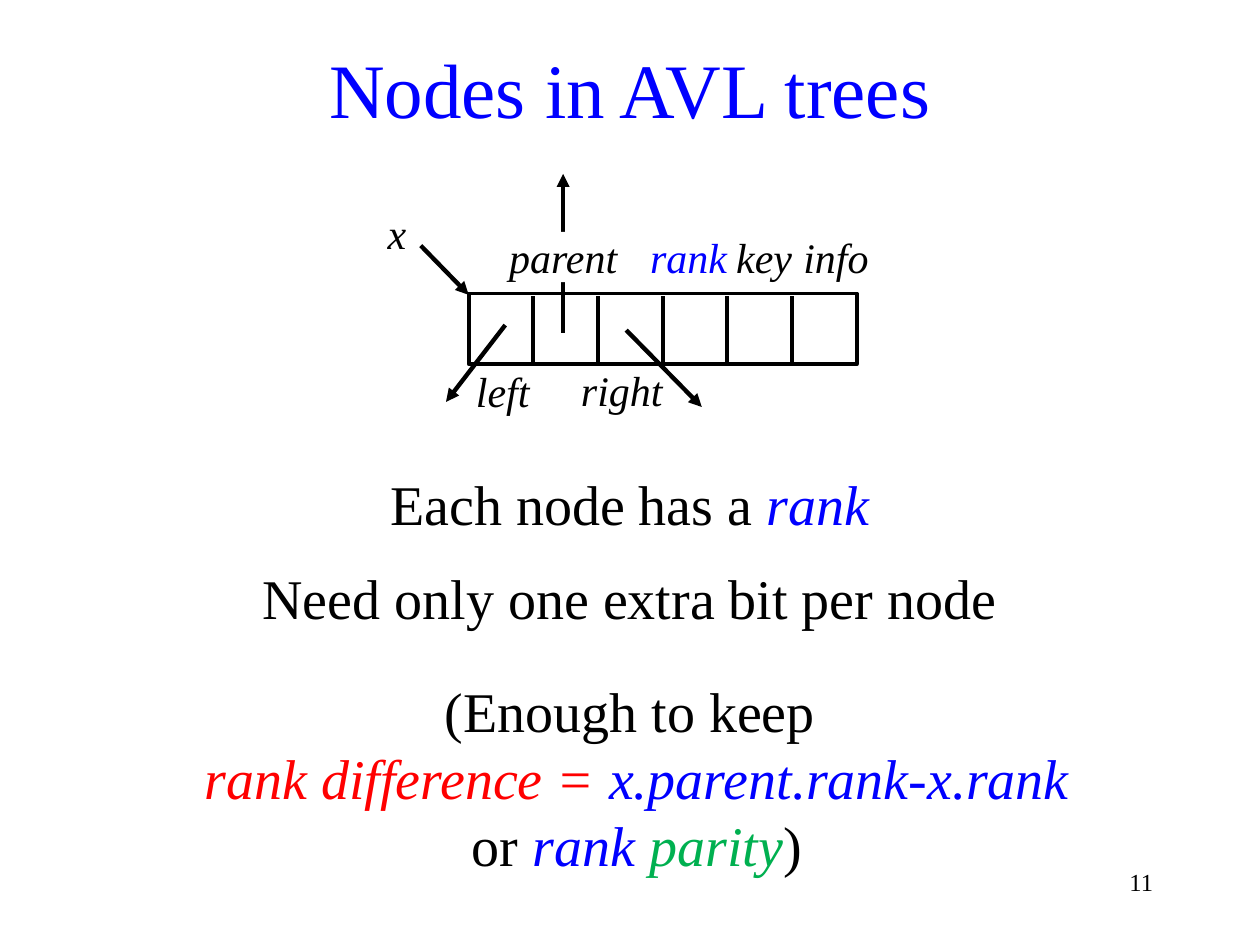
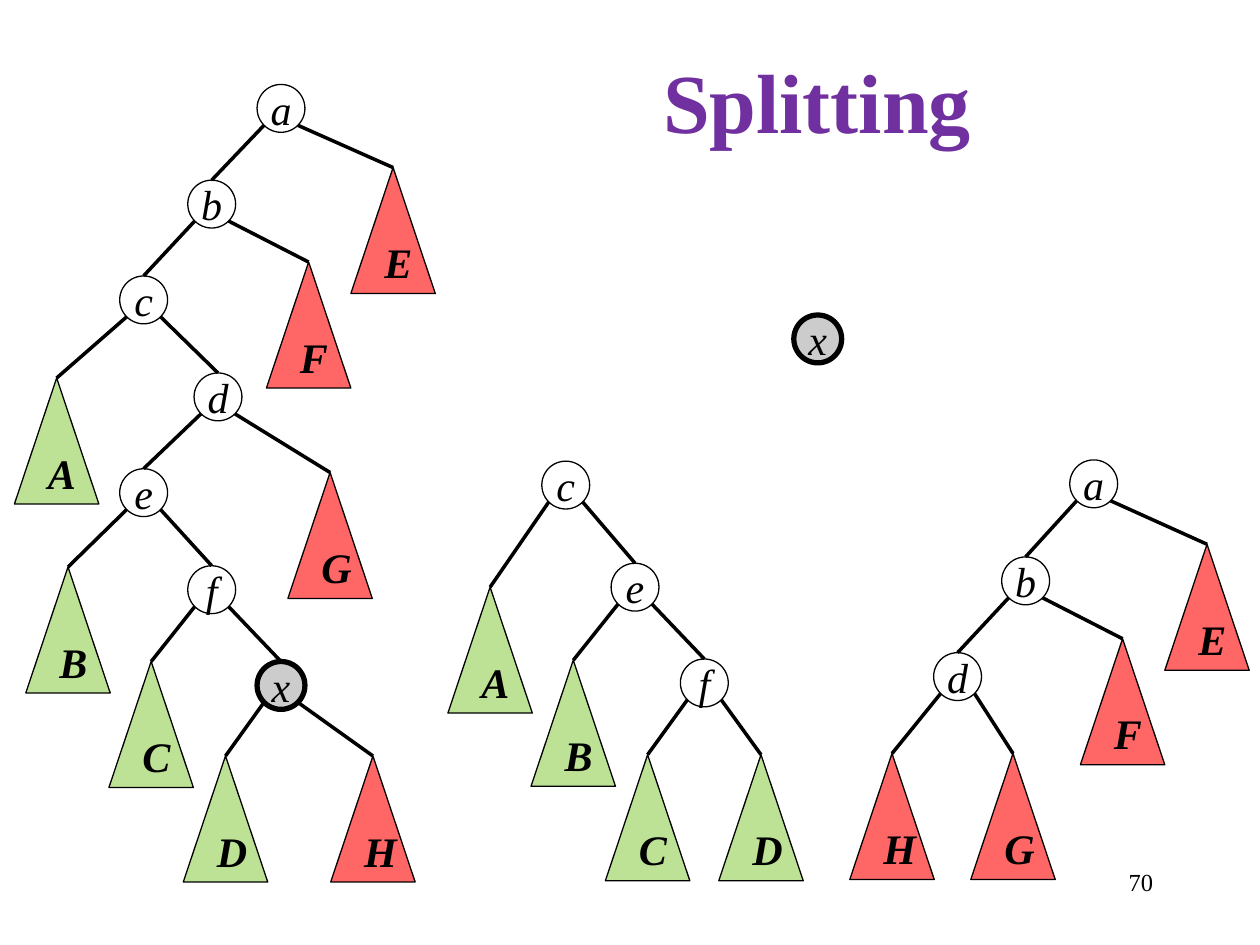
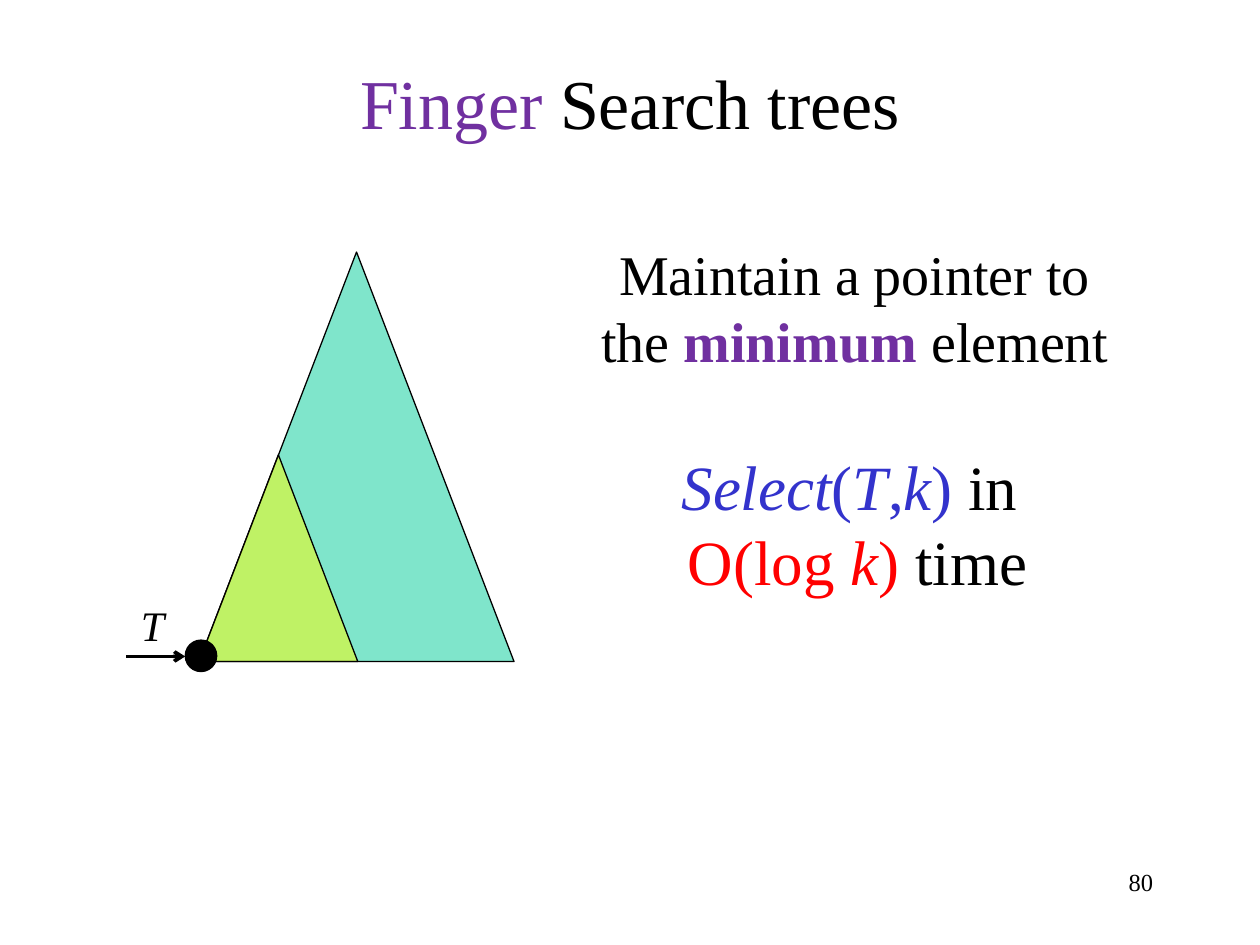
import dataclasses

import lxml.etree
import pptx
import pptx.dml.color
import pptx.enum.shapes
import pptx.enum.text
import pptx.oxml.ns
import pptx.util

Inches = pptx.util.Inches
Shape = pptx.enum.shapes.MSO_SHAPE
Align = pptx.enum.text.PP_ALIGN
Anchor = pptx.enum.text.MSO_ANCHOR
qn = pptx.oxml.ns.qn


@dataclasses.dataclass(frozen=True)
class Theme:
    font: str = "Times New Roman"
    black: str = "000000"
    white: str = "FFFFFF"
    blue: str = "0000FF"
    indigo: str = "3333CC"
    purple: str = "7030A0"
    red: str = "FF0000"
    green: str = "00B050"
    lime: str = "92D050"
    teal: str = "00CC99"
    yellow: str = "FFFF00"
    grey: str = "CCCCCC"
    number: int = 14
    label: int = 24
    body: int = 32
    formula: int = 36
    title: int = 44
    search_title: int = 40
    split_title: int = 48
    thin: float = 0.75
    edge: float = 2
    frame: float = 2.25
    pointer: float = 2.5
    marked: float = 3


@dataclasses.dataclass(frozen=True)
class Box:
    left: float
    top: float
    width: float
    height: float

    def inner(self, left, top, width, height):
        return Box(self.left + left, self.top + top, width, height)

    def point(self, x, y):
        return self.left + x, self.top + y

    def lengths(self):
        return [Inches(value) for value in dataclasses.astuple(self)]


THEME = Theme()
PAGE = Box(0, 0, 10, 7.5)
NODE_SIZE = 0.38
NODE_REACH = 0.135
LEAF_WIDTH = 0.67
LEAF_HEIGHT = 1

FULL_TREE = {
    "a": (0, 0, "bE"),
    "b": (-0.55, 0.76, "cF"),
    "c": (-1.09, 1.52, "Ad"),
    "d": (-0.5, 2.29, "eG"),
    "e": (-1.09, 3.05, "Bf"),
    "f": (-0.55, 3.82, "Cx"),
    "x": (0, 4.58, "DH"),
    "A": (-1.78, 2.33, ""),
    "B": (-1.69, 3.83, ""),
    "C": (-1.03, 4.58, ""),
    "D": (-0.44, 5.33, ""),
    "E": (0.89, 0.66, ""),
    "F": (0.22, 1.41, ""),
    "G": (0.39, 3.08, ""),
    "H": (0.73, 5.33, ""),
}
SMALLER_TREE = {
    "c": (0, 0, "Ae"),
    "e": (0.55, 0.81, "Bf"),
    "f": (1.1, 1.57, "CD"),
    "A": (-0.6, 1, ""),
    "B": (0.06, 1.58, ""),
    "C": (0.65, 2.33, ""),
    "D": (1.55, 2.33, ""),
}
LARGER_TREE = {
    "a": (0, 0, "bE"),
    "b": (-0.54, 0.77, "dF"),
    "d": (-1.08, 1.53, "HG"),
    "E": (0.9, 0.67, ""),
    "F": (0.23, 1.42, ""),
    "G": (-0.64, 2.33, ""),
    "H": (-1.6, 2.33, ""),
}
SPLIT_KEY = {"x": (0, 0, "")}


def rgb(colour):
    return pptx.dml.color.RGBColor.from_string(colour)


def write_text(shape, paras, size, align=Align.CENTER, anchor=Anchor.TOP, inset=True):
    frame = shape.text_frame
    settings = {"word_wrap": True, "vertical_anchor": anchor}
    if not inset:
        settings.update({f"margin_{side}": 0 for side in ("left", "top", "right", "bottom")})
    for name, value in settings.items():
        setattr(frame, name, value)
    for index, spans in enumerate(paras):
        para = frame.add_paragraph() if index else frame.paragraphs[0]
        para.alignment = align
        for text, colour, style in spans:
            if text == "\n":
                para.add_line_break()
                continue
            span = para.add_run()
            span.text = text
            formats = {
                "name": THEME.font,
                "size": pptx.util.Pt(size),
                "bold": "b" in style,
                "italic": "i" in style,
            }
            for name, value in formats.items():
                setattr(span.font, name, value)
            span.font.color.rgb = rgb(colour)


def add_text(page, box, paras, size, **layout):
    shape = page.shapes.add_textbox(*box.lengths())
    write_text(shape, paras, size, **layout)


def add_figure(page, kind, box, fill=None, opacity=100, weight=THEME.thin):
    shape = page.shapes.add_shape(kind, *box.lengths())
    shape.shadow.inherit = False
    if fill:
        shape.fill.solid()
        shape.fill.fore_color.rgb = rgb(fill)
        if opacity < 100:
            colour = shape.element.spPr.find(f"{qn('a:solidFill')}/{qn('a:srgbClr')}")
            lxml.etree.SubElement(colour, qn("a:alpha"), val=str(opacity * 1000))
    else:
        shape.fill.background()
    if weight:
        shape.line.color.rgb = rgb(THEME.black)
        shape.line.width = pptx.util.Pt(weight)
    else:
        shape.line.fill.background()
    return shape


def add_line(page, start, end, weight, head=None):
    line = page.shapes.add_connector(
        pptx.enum.shapes.MSO_CONNECTOR.STRAIGHT,
        *[Inches(value) for value in (*start, *end)],
    )
    line.line.color.rgb = rgb(THEME.black)
    line.line.width = pptx.util.Pt(weight)
    if head:
        lxml.etree.SubElement(line.get_or_add_ln(), qn("a:tailEnd"), type=head)
    lxml.etree.SubElement(line.element.spPr, qn("a:effectLst"))
    return line


def add_page(deck, number):
    page = deck.slides.add_slide(deck.slide_layouts[6])
    add_text(page, PAGE.inner(7.17, 6.83, 2.08, 0.5),
             [[(number, THEME.black, "")]], THEME.number, align=Align.RIGHT)
    return page


def draw_node_record(page, box):
    cells = box.inner(0.76, 0.95, 3.08, 0.56)
    add_figure(page, Shape.RECTANGLE, cells, weight=THEME.frame)
    for index in range(1, 6):
        x = cells.width / 6 * index
        add_line(page, cells.point(x, 0.02), cells.point(x, 0.55), THEME.frame)
    pointers = [
        ((2.01, 1.24), (2.61, 1.85)),
        ((1.05, 1.2), (0.58, 1.81)),
        ((0.38, 0.57), (0.76, 0.96)),
        ((1.51, 1.26), (1.51, 0)),
    ]
    for start, end in pointers:
        add_line(page, box.point(*start), box.point(*end), THEME.pointer, "triangle")
    parent = add_figure(page, Shape.RECTANGLE, box.inner(0.93, 0.46, 1.16, 0.4),
                        THEME.white, weight=0)
    write_text(parent, [[("parent", THEME.black, "i")]], THEME.label, inset=False)
    fields = [
        ("right", 1.54, 1.51, 0.87, THEME.black),
        ("left", 0.58, 1.52, 0.9, THEME.black),
        ("rank", 2.1, 0.46, 0.81, THEME.blue),
        ("key", 2.7, 0.46, 0.81, THEME.black),
        ("info", 3.27, 0.46, 0.81, THEME.black),
    ]
    for name, left, top, width, colour in fields:
        add_text(page, box.inner(left, top, width, 0.4),
                 [[(name, colour, "i")]], THEME.label, inset=False)
    add_text(page, box.inner(0, 0.22, 0.38, 0.5),
             [[("x", THEME.black, "i")]], THEME.label)


def draw_tree(page, root, nodes):
    shapes = {}
    for label, (x, y, children) in nodes.items():
        if label.isupper():
            fill = THEME.lime if label in "ABCD" else THEME.red
            shape = add_figure(page, Shape.ISOSCELES_TRIANGLE,
                               root.inner(x - LEAF_WIDTH / 2, y, LEAF_WIDTH, LEAF_HEIGHT),
                               fill, 60)
            write_text(shape, [[(label, THEME.black, "bi")]], THEME.label)
        else:
            marked = label == "x"
            shape = add_figure(page, Shape.OVAL,
                               root.inner(x - NODE_SIZE / 2, y, NODE_SIZE, NODE_SIZE),
                               THEME.grey if marked else None,
                               weight=THEME.marked if marked else THEME.thin)
            write_text(shape, [[(label, THEME.black, "i")]], THEME.label,
                       anchor=Anchor.MIDDLE, inset=False)
        shapes[label] = shape
    for x, y, children in nodes.values():
        for side, child in zip((-1, 1), children):
            start = root.point(x + side * NODE_REACH, y + NODE_SIZE / 2 + NODE_REACH)
            end = root.point(*nodes[child][:2])
            add_line(page, start, end, THEME.edge).end_connect(shapes[child], 0)


def draw_finger_tree(page, box):
    add_figure(page, Shape.ISOSCELES_TRIANGLE, box.inner(0.61, 0, 2.5, 3.25), THEME.teal, 50)
    add_figure(page, Shape.ISOSCELES_TRIANGLE, box.inner(0.61, 1.61, 1.26, 1.64),
               THEME.yellow, 50)
    add_line(page, box.point(0.03, 3.21), box.point(0.5, 3.21), THEME.edge, "arrow")
    add_text(page, box.inner(0, 2.71, 0.48, 0.5), [[("T", THEME.black, "i")]], THEME.label)
    add_figure(page, Shape.OVAL, box.inner(0.5, 3.08, 0.25, 0.25), THEME.black)


def build_node_page(deck):
    page = add_page(deck, "11")
    add_text(page, PAGE.inner(0, 0.28, 10, 0.84),
             [[("Nodes in AVL trees", THEME.blue, "")]], THEME.title)
    draw_node_record(page, PAGE.inner(2.96, 1.38, 4.08, 1.92))
    statements = [
        (3.68, 0.64, [[("Each node has a ", THEME.black, ""), ("rank", THEME.blue, "i")]]),
        (4.42, 0.64, [[("Need only one extra bit per node", THEME.black, "")]]),
        (5.32, 1.72, [
            [("(Enough to keep", THEME.black, "")],
            [(" rank difference = ", THEME.red, "i"),
             ("x.parent.rank-x.rank", THEME.blue, "i")],
            [(" or ", THEME.black, ""), ("rank ", THEME.blue, "i"),
             ("parity", THEME.green, "i"), (")", THEME.black, "")],
        ]),
    ]
    for top, height, paras in statements:
        add_text(page, PAGE.inner(0, top, 10, height), paras, THEME.body)


def build_split_page(deck):
    page = add_page(deck, "70")
    add_text(page, PAGE.inner(2.88, 0.34, 7.21, 0.91),
             [[("Splitting", THEME.purple, "b")]], THEME.split_title, anchor=Anchor.MIDDLE)
    trees = [
        (2.23, 0.67, FULL_TREE),
        (4.49, 3.66, SMALLER_TREE),
        (8.68, 3.65, LARGER_TREE),
        (6.49, 2.5, SPLIT_KEY),
    ]
    for x, y, nodes in trees:
        draw_tree(page, PAGE.inner(x, y, NODE_SIZE, NODE_SIZE), nodes)


def build_finger_page(deck):
    page = add_page(deck, "80")
    add_text(page, PAGE.inner(0, 0.42, 10, 0.83),
             [[("Finger", THEME.purple, ""), (" Search trees", THEME.black, "")]],
             THEME.search_title)
    draw_finger_tree(page, PAGE.inner(0.97, 2, 3.11, 3.33))
    add_text(page, PAGE.inner(4.63, 1.85, 4.31, 1.18),
             [[("Maintain a pointer to the ", THEME.black, ""),
               ("minimum", THEME.purple, "b"), (" element", THEME.black, "")]], THEME.body)
    add_text(page, PAGE.inner(4.65, 3.5, 4.31, 1.31),
             [[("Select", THEME.indigo, "i"), ("(", THEME.indigo, ""),
               ("T", THEME.indigo, "i"), (",", THEME.indigo, ""),
               ("k", THEME.indigo, "i"), (")", THEME.indigo, ""),
               (" in ", THEME.black, ""), ("\n", THEME.black, ""),
               ("O(log ", THEME.red, ""), ("k", THEME.red, "i"),
               (")", THEME.red, ""), (" time", THEME.black, "")]], THEME.formula)


def main():
    deck = pptx.Presentation()
    deck.slide_width = Inches(PAGE.width)
    deck.slide_height = Inches(PAGE.height)
    for build in (build_node_page, build_split_page, build_finger_page):
        build(deck)
    deck.save("out.pptx")


if __name__ == "__main__":
    main()
